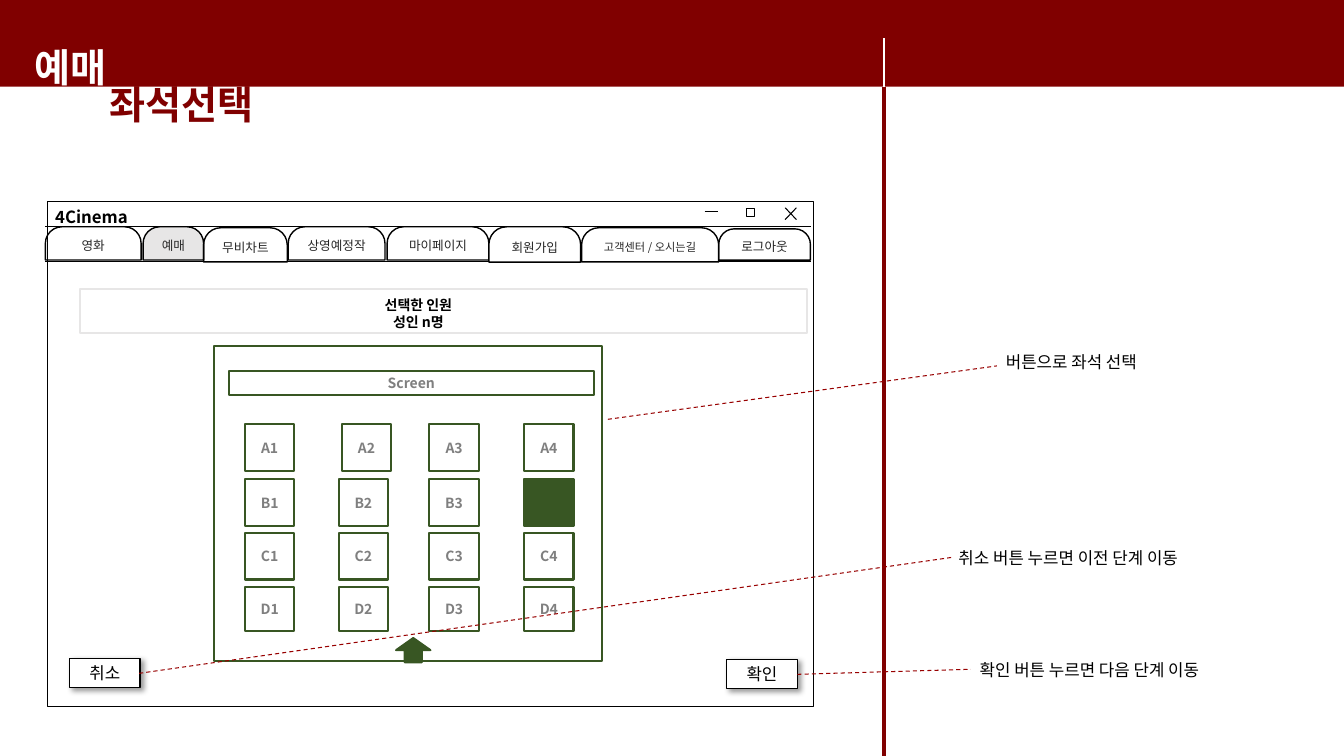
from dataclasses import dataclass, field

from pptx import Presentation
from pptx.dml.color import RGBColor
from pptx.enum.dml import MSO_LINE
from pptx.enum.shapes import MSO_CONNECTOR, MSO_SHAPE
from pptx.enum.text import MSO_ANCHOR, MSO_AUTO_SIZE, PP_ALIGN
from pptx.oxml import parse_xml
from pptx.oxml.ns import nsdecls, qn
from pptx.util import Inches, Pt

CELL = Inches(0.1)  # one grid column or row
COLUMNS, ROWS = 133.33, 75


@dataclass(frozen=True)
class Theme:
    font: str = "Noto Sans CJK KR"
    maroon: str = "800000"
    callout: str = "980000"
    green: str = "385623"
    grey: str = "E7E6E6"
    blue: str = "4472C4"
    white: str = "FFFFFF"
    black: str = "000000"
    tab_ink: str = "262626"
    seat_ink: str = "7F7F7F"
    text: dict = field(default_factory=lambda: {
        "title": {"size": Pt(28), "bold": True},
        "brand": {"size": Pt(12), "bold": True},
        "body": {"size": Pt(12), "bold": False},
        "label": {"size": Pt(10), "bold": True},
        "tab": {"size": Pt(9), "bold": False},
        "small_tab": {"size": Pt(8), "bold": False},
    })


def grid(*cells):
    return [round(cell * CELL) for cell in cells]


class Wireframe:
    """Draws on one slide; every length is in grid columns and rows."""

    def __init__(self, slide, theme):
        self.shapes = slide.shapes
        self.theme = theme

    def fill_text(self, frame, lines, style, color, align, inset=0.5):
        side, edge = grid(1, inset)
        layout = {"word_wrap": True, "margin_left": side, "margin_right": side,
                  "margin_top": edge, "margin_bottom": edge}
        for name, value in layout.items():
            setattr(frame, name, value)
        for index, line in enumerate(lines):
            paragraph = frame.add_paragraph() if index else frame.paragraphs[0]
            paragraph.alignment = align
            run = paragraph.add_run()
            run.text = line
            for name, value in {"name": self.theme.font, **self.theme.text[style]}.items():
                setattr(run.font, name, value)
            run.font.color.rgb = RGBColor.from_string(color)
            properties = run._r.get_or_add_rPr()
            properties.append(properties.makeelement(
                qn("a:ea"), {"typeface": self.theme.font}))

    def text(self, box, lines, style, color, align=PP_ALIGN.LEFT, inset=0.5):
        frame = self.shapes.add_textbox(*grid(*box)).text_frame
        self.fill_text(frame, lines, style, color, align, inset)
        frame.auto_size = MSO_AUTO_SIZE.SHAPE_TO_FIT_TEXT

    def shape(self, box, fill=None, line=None, width=1, kind=MSO_SHAPE.RECTANGLE,
              adjust=(), label=None, style="label", ink=None):
        shape = self.shapes.add_shape(kind, *grid(*box))
        shape.shadow.inherit = False
        for index, value in enumerate(adjust):
            shape.adjustments[index] = value
        if fill:
            shape.fill.solid()
            shape.fill.fore_color.rgb = RGBColor.from_string(fill)
        else:
            shape.fill.background()
        if line:
            shape.line.color.rgb = RGBColor.from_string(line)
            shape.line.width = Pt(width)
        else:
            shape.line.fill.background()
        if label:
            self.fill_text(shape.text_frame, [label], style, ink, PP_ALIGN.CENTER)
            shape.text_frame.vertical_anchor = MSO_ANCHOR.MIDDLE
        return shape

    def line(self, start, end, color, width, dash=None):
        connector = self.shapes.add_connector(
            MSO_CONNECTOR.STRAIGHT, *grid(*start, *end))
        connector.line.color.rgb = RGBColor.from_string(color)
        connector.line.width = Pt(width)
        if dash:
            connector.line.dash_style = dash
        properties = connector._element.spPr
        properties.append(properties.makeelement(qn("a:effectLst"), {}))

    def tab(self, left, top, width, height, label, style="tab", fill=None):
        self.shape((left, top, width, height), fill, self.theme.black,
                   kind=MSO_SHAPE.ROUND_2_SAME_RECTANGLE, adjust=(0.5, 0),
                   label=label, style=style, ink=self.theme.tab_ink)

    def seat(self, box, label, fill=None):
        self.shape(box, fill or self.theme.white, self.theme.green, 1.5,
                   label=label, ink=self.theme.seat_ink)

    def button(self, left, top, label):
        """Adds a white button with a soft shadow to the lower right."""
        button = self.shape((left, top, 7, 2.9), self.theme.white, self.theme.black,
                            label=label, style="body", ink=self.theme.black)
        button._element.spPr.find(qn("a:effectLst")).append(parse_xml(
            f'<a:outerShdw {nsdecls("a")} blurRad="{Pt(4)}" dist="{Pt(3)}" '
            f'dir="2700000" algn="tl" rotWithShape="0">'
            f'<a:srgbClr val="{self.theme.black}"><a:alpha val="40000"/></a:srgbClr>'
            f'</a:outerShdw>'))

    def callout(self, start, end, box, note):
        self.line(start, end, self.theme.callout, 0.75, MSO_LINE.DASH)
        self.text(box, [note], "body", self.theme.black, inset=1)


def draw_header(page, theme):
    page.shape((-1.8, 0, 138.3, 8.6), theme.maroon)
    page.text((2.4, 3.8, 39.6, 5.7), ["예매"], "title", theme.white)
    page.line((87.7, 3.8), (87.7, 9.5), theme.white, 1.5)
    page.text((9.9, 7.5, 75.2, 5.7), ["좌석선택"], "title", theme.maroon)
    page.line((87.7, 8.6), (87.7, ROWS), theme.maroon, 2.25)


def draw_window(page, theme):
    page.shape((4.7, 20, 76, 50.1), line=theme.black)
    page.line((4.5, 22.5), (80.5, 22.5), theme.black, 1)
    page.line((69.9, 21), (71.2, 21), theme.black, 0.75)
    page.shape((74.1, 20.7, 0.8, 0.8), line=theme.black, width=0.75)
    page.line((4.5, 25.9), (80.5, 25.9), theme.black, 0.75)
    page.text((4.5, 20, 12.3, 3), ["4Cinema"], "brand", theme.black, PP_ALIGN.JUSTIFY)
    page.tab(4.5, 22.5, 9.5, 3.3, "영화")
    page.tab(14.2, 22.5, 6, 3.3, "예매", fill=theme.grey)
    page.tab(20.2, 22.6, 8.3, 3.4, "무비차트")
    page.tab(28.6, 22.5, 9.6, 3.3, "상영예정작")
    page.tab(38.4, 22.5, 10.1, 3.3, "마이페이지")
    page.tab(48.5, 22.5, 9.1, 3.5, "회원가입", fill=theme.white)
    page.tab(71.3, 22.7, 9.1, 3.1, "로그아웃")
    page.tab(57.7, 22.6, 13.6, 3.4, "고객센터 / 오시는길", "small_tab")
    page.shape((77.4, 20.1, 2.1, 2.2), theme.blue, theme.black, 0.75,
               MSO_SHAPE.MATH_MULTIPLY, adjust=(0,))


def draw_seating(page, theme):
    seat_columns = (24.3, 33.6, 42.6, 52)
    seat_rows = {"A": (42.1, 4.6), "B": (47.55, 4.6), "C": (52.9, 4.6), "D": (58.2, 4.4)}
    nudges = {"A2": 0.3}
    taken = {"B4"}
    page.shape((21.2, 34.3, 38.5, 31.3), theme.white, theme.green, 1.5)
    for row, (top, height) in seat_rows.items():
        for number, left in enumerate(seat_columns, start=1):
            seat = f"{row}{number}"
            box = (left + nudges.get(seat, 0), top, 4.9, height)
            if seat in taken:
                page.seat(box, None, theme.green)
            else:
                page.seat(box, seat)
    page.seat((22.7, 36.8, 36.2, 2.4), "Screen")
    entrance = page.shape((39.8, 62.8, 2.4, 3.4), theme.green, theme.green, 1.5,
                          MSO_SHAPE.RIGHT_ARROW, adjust=(0.5, 0.5))
    entrance.rotation = 270


def draw_controls(page, theme):
    page.button(6.9, 65.3, "취소")
    page.button(72.1, 65.4, "확인")
    page.text((22.1, 28.9, 38.8, 4.4), ["선택한 인원", "성인 n명"], "label",
              theme.black, PP_ALIGN.CENTER)
    page.shape((7.9, 28.7, 72.2, 4.3), line=theme.grey, width=1.5)


def draw_callouts(page):
    page.callout((13.8, 66.8), (94.4, 55.3), (94.1, 53.3, 26.9, 4),
                 "취소 버튼 누르면 이전 단계 이동")
    page.callout((79.1, 66.9), (96.3, 66.4), (96.2, 64.5, 28.8, 4),
                 "확인 버튼 누르면 다음 단계 이동")
    page.callout((60.3, 41.6), (98.9, 36.3), (98.8, 33.9, 20.2, 4),
                 "버튼으로 좌석 선택")


def main():
    deck = Presentation()
    deck.slide_width, deck.slide_height = grid(COLUMNS, ROWS)
    theme = Theme()
    page = Wireframe(deck.slides.add_slide(deck.slide_layouts[6]), theme)
    draw_header(page, theme)
    draw_window(page, theme)
    draw_seating(page, theme)
    draw_controls(page, theme)
    draw_callouts(page)
    deck.save("out.pptx")


if __name__ == "__main__":
    main()
